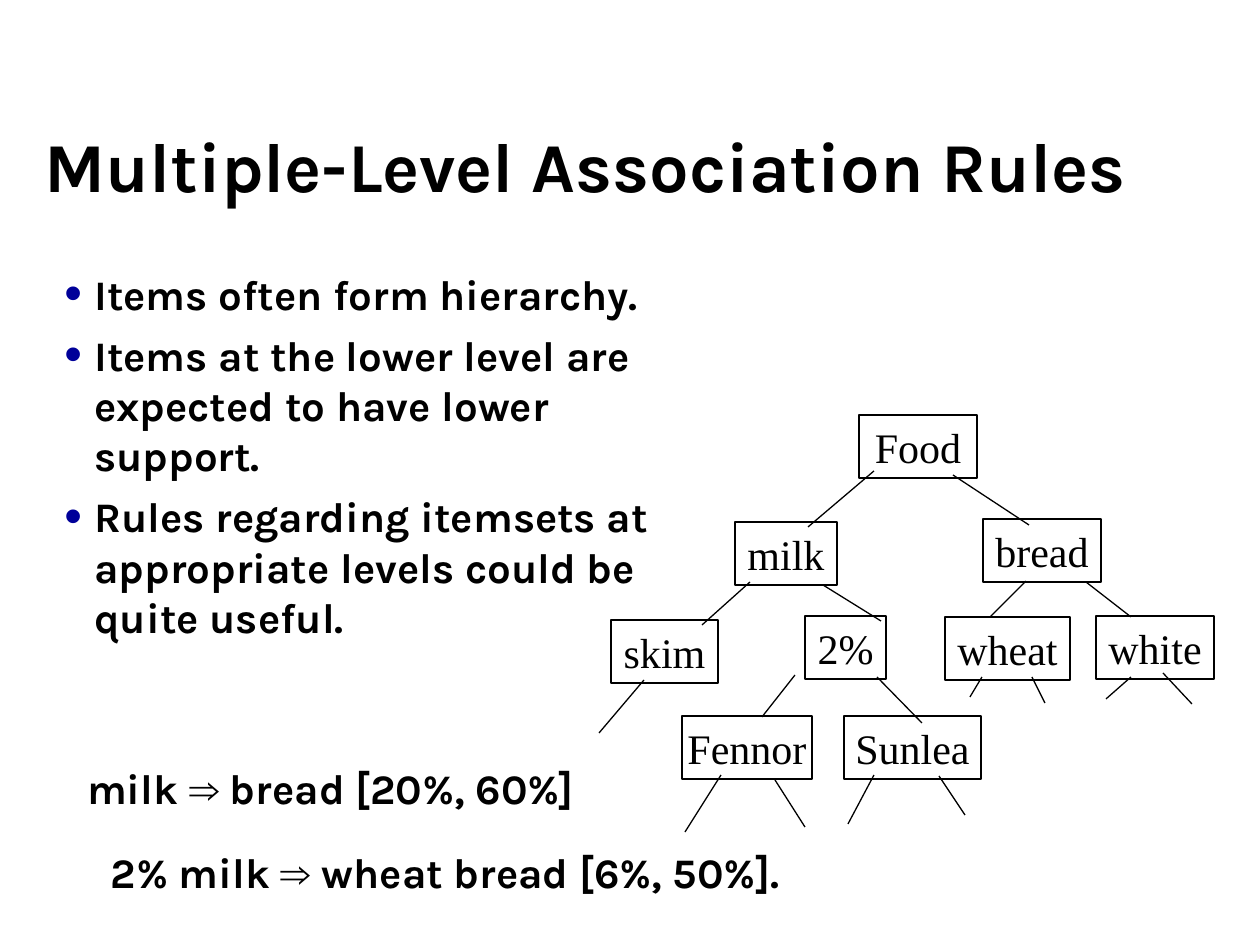
"""Build the Multiple-Level Association Rules slide."""
from lxml.etree import SubElement
from pptx import Presentation
from pptx.dml.color import RGBColor
from pptx.enum.shapes import MSO_CONNECTOR as Connector, MSO_SHAPE as Shape
from pptx.enum.text import MSO_ANCHOR as Anchor, PP_ALIGN as Align
from pptx.oxml.ns import qn
from pptx.util import Pt

BLACK = RGBColor(0x00, 0x00, 0x00)
WHITE = RGBColor(0xFF, 0xFF, 0xFF)
NAVY = RGBColor(0x00, 0x00, 0x99)
KARLA, SERIF, ARIAL = "Karla", "Times New Roman", "Arial"
EMU_PER_PX = 914400 / 126
BOX_HEIGHT = 63
HANGING = 30

TITLE = ("Multiple-Level Association Rules", (32, 116, 1228, 97))
POINTS_AT = (52, 262, 662, 387)
POINTS = [
    "Items often form hierarchy.",
    "Items at the lower level are expected to have lower support.",
    "Rules regarding itemsets at appropriate levels could be quite useful.",
]
ITEMS = [
    ("Food", 859, 415, 118),
    ("bread", 983, 519, 118),
    ("milk", 735, 522, 102),
    ("skim", 611, 620, 107),
    ("Sunlea", 844, 716, 137),
    ("Fennor", 682, 716, 130),
    ("2%", 805, 616, 81),
    ("white", 1096, 616, 118),
    ("wheat", 945, 617, 125),
]
BRANCHES = [
    (874, 471, 808, 527), (953, 475, 1029, 525),
    (750, 582, 702, 625), (823, 585, 881, 621),
    (795, 675, 762, 717), (877, 677, 922, 723),
    (1026, 581, 990, 617), (1086, 582, 1131, 617),
    (644, 680, 599, 733),
    (721, 775, 685, 832), (775, 780, 805, 827),
    (874, 775, 848, 824), (939, 776, 965, 815),
    (982, 677, 970, 697), (1032, 677, 1045, 703),
    (1131, 677, 1106, 699), (1163, 673, 1192, 704),
]
RULES = [
    ("milk ", " bread [20%, 60%]", (60, 756, 541, BOX_HEIGHT)),
    ("2% milk ", " wheat bread [6%, 50%].", (79, 840, 732, BOX_HEIGHT)),
]


def px(*lengths):
    return [round(length * EMU_PER_PX) for length in lengths]


def add_run(paragraph, text, font_name, size=24, bold=True):
    run = paragraph.add_run()
    run.text = text
    run.font.name = font_name
    run.font.size = Pt(size)
    run.font.bold = bold
    run.font.color.rgb = BLACK


def add_text_frame(slide, place, wrap=True):
    frame = slide.shapes.add_textbox(*px(*place)).text_frame
    frame.word_wrap = wrap
    return frame


def add_bullet(paragraph):
    props = paragraph._p.get_or_add_pPr()
    margin, = px(HANGING)
    props.set("marL", str(margin))
    props.set("indent", str(-margin))
    color = SubElement(props, qn("a:buClr"))
    SubElement(color, qn("a:srgbClr"), val=str(NAVY))
    SubElement(props, qn("a:buSzPct"), val="120000")
    SubElement(props, qn("a:buFont"), typeface=ARIAL)
    SubElement(props, qn("a:buChar"), char="•")


def add_points(slide):
    frame = add_text_frame(slide, POINTS_AT)
    for index, point in enumerate(POINTS):
        paragraph = frame.add_paragraph() if index else frame.paragraphs[0]
        add_bullet(paragraph)
        if index:
            paragraph.space_before = Pt(6)
        add_run(paragraph, point, KARLA)


def add_item(tree, name, left, top, width):
    item = tree.shapes.add_shape(Shape.RECTANGLE, *px(left, top, width, BOX_HEIGHT))
    item.shadow.inherit = False
    item.fill.solid()
    item.fill.fore_color.rgb = WHITE
    item.line.color.rgb = BLACK
    item.line.width = Pt(0.75)
    frame = item.text_frame
    frame.word_wrap = False
    frame.vertical_anchor = Anchor.MIDDLE
    frame.paragraphs[0].alignment = Align.CENTER
    add_run(frame.paragraphs[0], name, SERIF, bold=False)


def add_branch(tree, ends):
    branch = tree.shapes.add_connector(Connector.STRAIGHT, *px(*ends))
    branch.line.color.rgb = BLACK
    branch.line.width = Pt(0.75)
    SubElement(branch._element.spPr, qn("a:effectLst"))


def add_rule(slide, premise, conclusion, place):
    paragraph = add_text_frame(slide, place, wrap=False).paragraphs[0]
    paragraph.alignment = Align.CENTER
    for text, font_name in ((premise, KARLA), ("⇒", ARIAL), (conclusion, KARLA)):
        add_run(paragraph, text, font_name)


def main():
    deck = Presentation()
    deck.slide_width, deck.slide_height = px(1260, 945)
    slide = deck.slides.add_slide(deck.slide_layouts[6])
    title, title_at = TITLE
    add_run(add_text_frame(slide, title_at).paragraphs[0], title, KARLA, 40)
    add_points(slide)
    tree = slide.shapes.add_group_shape()
    for item in ITEMS:
        add_item(tree, *item)
    for ends in BRANCHES:
        add_branch(tree, ends)
    for rule in RULES:
        add_rule(slide, *rule)
    deck.save("out.pptx")


if __name__ == "__main__":
    main()
